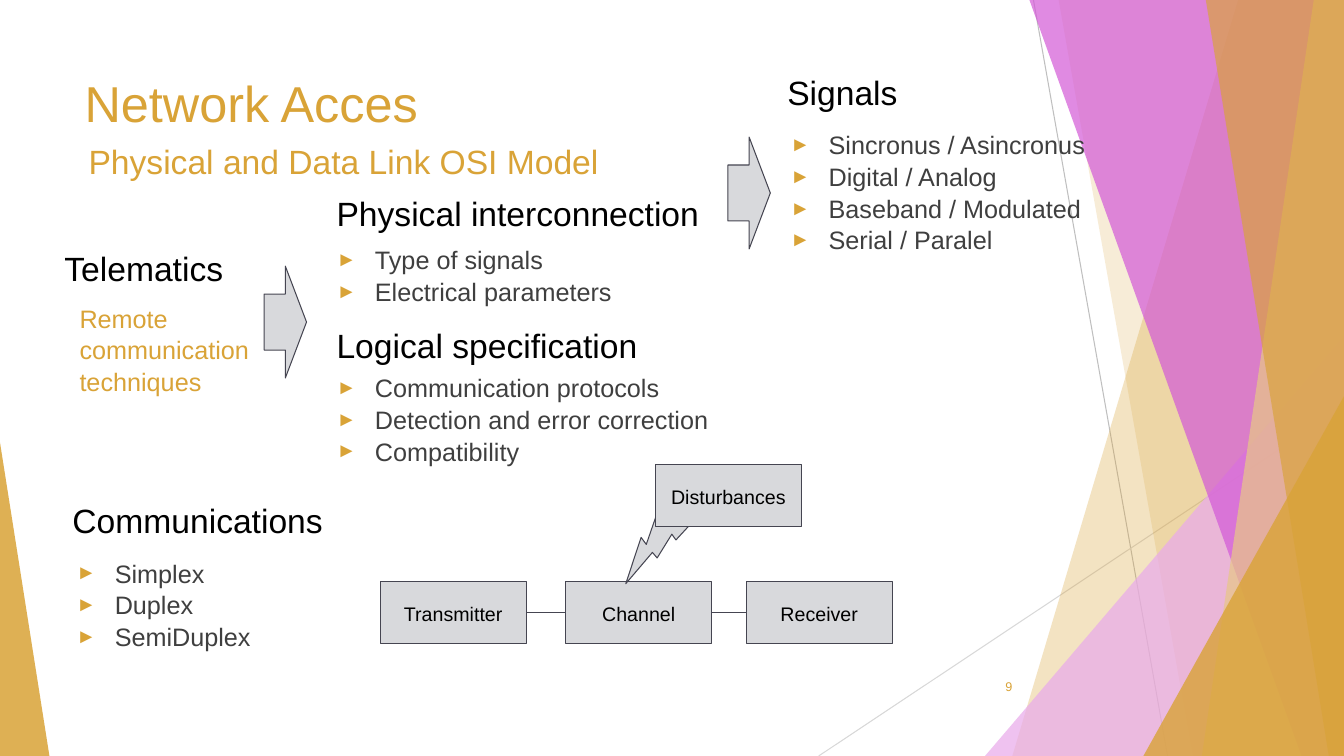
from lxml.etree import SubElement
from pptx import Presentation
from pptx.dml.color import RGBColor
from pptx.enum.shapes import MSO_CONNECTOR, MSO_SHAPE
from pptx.enum.text import MSO_ANCHOR, PP_ALIGN
from pptx.oxml.ns import qn
from pptx.util import Pt

PX = 9144
GOLD, BLACK, GREY = "D9A337", "000000", "3F3F3F"
FILL, EDGE = "D8D9DC", "454551"


def rgb(color):
    return RGBColor.from_string(color)


class Deck:
    """Holds the slide style and draws each kind of element, in hundredths of an inch."""

    font = "Arial"

    def __init__(self, width, height):
        self.prs = Presentation()
        self.prs.slide_width, self.prs.slide_height = width * PX, height * PX
        self.s = self.prs.slides.add_slide(self.prs.slide_layouts[6])

    def paint(self, sp, fill, alpha=None, line=None):
        sp.shadow.inherit = False
        sp.fill.solid()
        sp.fill.fore_color.rgb = rgb(fill)
        if alpha:
            clr = sp._element.spPr.find(qn("a:solidFill"))[0]
            SubElement(clr, qn("a:alpha"), val=str(alpha * 1000))
        if line:
            sp.line.color.rgb = rgb(line)
            sp.line.width = Pt(0.75)
        else:
            sp.line.fill.background()

    def shape(self, kind, box, fill=FILL, alpha=None, line=EDGE, adj=None, rotation=0):
        sp = self.s.shapes.add_shape(kind, *(v * PX for v in box))
        if adj is not None:
            sp.adjustments[0] = adj
        sp.rotation = rotation
        self.paint(sp, fill, alpha, line)
        return sp

    def polygon(self, points, fill, alpha):
        fb = self.s.shapes.build_freeform(*points[0], scale=PX)
        fb.add_line_segments(points[1:], close=True)
        self.paint(fb.convert_to_shape(), fill, alpha)

    def line(self, x1, y1, x2, y2, color=EDGE):
        cx = self.s.shapes.add_connector(MSO_CONNECTOR.STRAIGHT, x1 * PX, y1 * PX, x2 * PX, y2 * PX)
        cx.line.color.rgb = rgb(color)
        cx.line.width = Pt(0.75)
        SubElement(cx._element.spPr, qn("a:effectLst"))

    def fill_text(self, sp, lines, size, color, inset=5, align=PP_ALIGN.LEFT,
                  anchor=MSO_ANCHOR.TOP, spacing=None, bullet=False):
        tf = sp.text_frame
        tf.word_wrap = True
        tf.vertical_anchor = anchor
        tf.margin_left = tf.margin_right = 10 * PX
        tf.margin_top = tf.margin_bottom = inset * PX
        tf.text = "\n".join(lines)
        for p in tf.paragraphs:
            p.alignment = align
            if spacing:
                p.line_spacing = spacing
            if bullet:
                self.bullet(p)
            for r in p.runs:
                r.font.name, r.font.size = self.font, Pt(size)
                r.font.color.rgb = rgb(color)

    def bullet(self, p):
        pPr = p._p.get_or_add_pPr()
        pPr.set("marL", str(38 * PX))
        pPr.set("indent", str(-38 * PX))
        SubElement(SubElement(pPr, qn("a:buClr")), qn("a:srgbClr"), val=GOLD)
        SubElement(pPr, qn("a:buSzPct"), val="80000")
        SubElement(pPr, qn("a:buFont"), typeface=self.font)
        SubElement(pPr, qn("a:buChar"), char="►")

    def text(self, box, text, size=24, color=BLACK, **style):
        sp = self.s.shapes.add_textbox(*(v * PX for v in box))
        self.fill_text(sp, [text], size, color, **style)

    def bullets(self, x, y, *lines):
        sp = self.s.shapes.add_textbox(x * PX, y * PX, 398 * PX, 139 * PX)
        self.fill_text(sp, lines, 18, GREY, spacing=1.05, bullet=True)

    def block(self, x, y, label):
        sp = self.shape(MSO_SHAPE.RECTANGLE, (x, y, 145, 61))
        self.fill_text(sp, [label], 14, BLACK, inset=10, align=PP_ALIGN.CENTER,
                       anchor=MSO_ANCHOR.MIDDLE, spacing=1.15)

    def arrow(self, x, y):
        self.shape(MSO_SHAPE.RIGHT_ARROW, (x, y, 42, 111), adj=0.5)

    def triangle(self, box, fill, alpha, apex):
        self.shape(MSO_SHAPE.ISOSCELES_TRIANGLE, box, fill, alpha, None, apex)

    def band(self, top, bottom, fill, alpha):
        self.polygon([(top, 0), (1333, 0), (1333, 750), (bottom, 750)], fill, alpha)


def main():
    d = Deck(1333, 750)

    d.line(1025, 0, 1158, 750, "BFBFBF")
    d.line(1333, 403, 812, 750, "D8D8D8")
    d.band(1228, 1004, GOLD, 30)
    d.band(1050, 1183, GOLD, 20)
    d.triangle((977, 333, 356, 417), "E9ABEB", 72, 1)
    d.band(1021, 1291, "D359D7", 70)
    d.band(1303, 1192, "E8C786", 70)
    d.band(1196, 1318, GOLD, 65)
    d.triangle((1134, 393, 199, 357), GOLD, 80, 1)
    d.triangle((0, 439, 49, 311), GOLD, 85, 0)

    d.text((939, 661, 75, 40), "9", 9, GOLD, align=PP_ALIGN.RIGHT, anchor=MSO_ANCHOR.MIDDLE)
    d.text((74, 67, 940, 144), "Network Acces", 36, GOLD)
    d.text((78, 135, 1101, 50), "Physical and Data Link OSI Model", color=GOLD)

    d.text((324, 186, 403, 17), "Physical interconnection")
    d.bullets(324, 236, "Type of signals", "Electrical parameters")
    d.text((324, 311, 403, 17), "Logical specification", spacing=1.15)
    d.bullets(324, 363, "Communication protocols", "Detection and error correction", "Compatibility")

    for x, y, heading in ((54, 236, "Telematics"), (62, 486, "Communications"), (771, 61, "Signals")):
        d.text((x, y, 328, 61), heading, inset=10)
    d.text((69, 289, 198, 111), "Remote communication techniques", 18, GOLD, inset=10, spacing=1.05)
    d.bullets(66, 547, "Simplex", "Duplex", "SemiDuplex")
    d.bullets(774, 122, "Sincronus / Asincronus", "Digital / Analog", "Baseband / Modulated", "Serial / Paralel")
    d.arrow(262, 264)
    d.arrow(722, 136)

    for x, label in ((377, "Transmitter"), (561, "Channel"), (740, "Receiver")):
        d.block(x, 577, label)
    d.line(522, 608, 561, 608)
    d.line(706, 608, 740, 608)
    d.shape(MSO_SHAPE.LIGHTNING_BOLT, (613, 492, 77, 81), rotation=77.1)
    d.block(650, 461, "Disturbances")

    d.prs.save("out.pptx")


if __name__ == "__main__":
    main()
